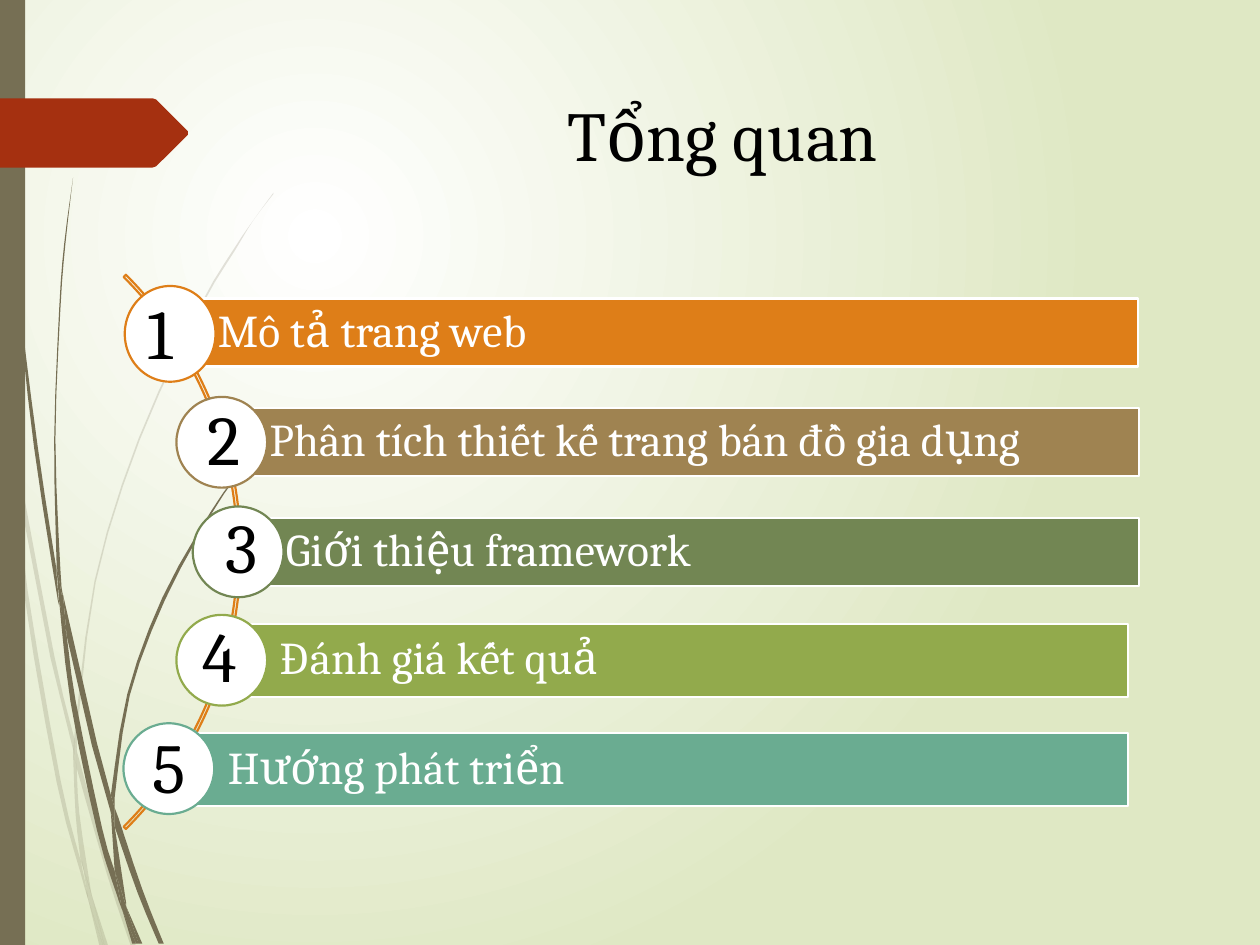
import dataclasses

import lxml.etree
import pptx
import pptx.dml.color
import pptx.enum.shapes
import pptx.enum.text
import pptx.oxml
import pptx.oxml.ns
import pptx.util

Inches = pptx.util.Inches
Pt = pptx.util.Pt
Shape = pptx.enum.shapes.MSO_SHAPE
FONT = "Cambria"
OLIVE = "766F54"
STEPS = 3

# Each blade is outlined by two or more edges of x y anchors, parted by a slash
PALE_BLADES = [
    ".08 3.5 .06 3.22 0 2.82 / 0 2.99 .07 3.44 .08 3.5",
    ".4 5.22 .59 5.99 / .59 5.86 .43 5.2 .1 3.45 / .12 3.76 .4 5.22",
    ".64 6.07 .61 5.96 / .61 6.1 .85 6.94 1.04 7.51 / 1.08 7.51 .88 6.92 .64 6.07",
    ".83 7.51 / .86 7.51 .73 7.11 / .83 7.51",
    ".64 6.83 .48 6.19 .22 4.69 .12 3.76 .08 3.5 / .08 3.5 .19 4.7 .45 6.21 .64 6.93 .7 7.14 / .69 7.07 .64 6.83",
    ".58 5.99 .6 6.46 .64 6.83 / .67 6.92 .73 7.11 / .72 7.06 .63 6.46 .61 6.1 / .61 6.08 .58 5.99",
    ".61 5.84 .76 4.62 1.11 3.49 1.59 2.45 1.87 1.98 2.01 1.75 2.17 1.54 / "
    "2.17 1.53 2.01 1.75 1.86 1.97 1.58 2.44 1.1 3.48 .75 4.61 .59 5.84 / .59 5.86 .61 5.96",
    ".7 7.14 .79 7.51 / .82 7.51 .7 7.14",
    ".61 6.08 .61 6.1 / .61 5.96 .59 5.86 / .58 5.99 .61 6.08",
    ".67 6.92 .65 6.83 / .69 7.07 .7 7.14 .82 7.51 / .83 7.51 .73 7.11 .67 6.92",
]
DARK_BLADES = [
    ".05 1.1 .14 2.33 .27 3.55 .46 4.77 / .47 4.81 .45 4.57 / "
    ".45 4.53 .3 3.55 .15 2.32 .06 1.09 .04 .48 .03 0 / .02 0 .03 .48 .05 1.1",
    ".73 5.92 .88 6.45 / .88 6.33 .88 6.31 / .77 5.9 .5 4.72 / .53 5.05 .73 5.92",
    ".94 6.49 .91 6.41 / .91 6.56 1.09 7.08 1.26 7.49 / 1.3 7.49 1.13 7.06 .94 6.49",
    ".91 6.91 .81 6.57 .6 5.56 .53 5.05 .47 4.77 / .47 4.77 .56 5.57 .77 6.59 .92 7.08 .97 7.22 / .96 7.17 .91 6.91",
    ".5 4.72 .48 4.53 .44 3.49 .48 2.45 .52 1.93 .58 1.41 / .58 1.41 .51 1.93 .47 2.45 .43 3.49 .45 4.49 / .49 4.72",
    "1.1 7.49 / 1.13 7.49 1 7.19 / 1.1 7.49",
    ".47 4.77 .53 5.05 / .5 4.72 / .49 4.72 .45 4.49 / .45 4.53 .47 4.77",
    ".91 6.33 1.03 5.52 1.31 4.76 1.69 4.06 1.91 3.74 2.03 3.59 2.16 3.44 / "
    "2.15 3.44 2.03 3.58 1.91 3.73 1.68 4.05 1.29 4.74 1.01 5.51 .88 6.31 / .91 6.41",
    ".97 7.22 1.05 7.49 / 1.08 7.49 .97 7.22",
    ".88 6.45 .91 6.91 / .96 7.06 1 7.19 / 1 7.16 .91 6.56 / .9 6.51 .88 6.45",
    ".88 6.45 .9 6.51 .91 6.56 / .91 6.41 .88 6.31 / .88 6.33 .88 6.45",
    ".96 7.06 .91 6.91 / .96 7.17 .97 7.22 1.08 7.49 / 1.1 7.49 1 7.19 .96 7.06",
]
TAG = [(0, 0.78), (1.21, 0.78), (1.24, 0.79), (1.49, 1.04), (1.49, 1.07),
       (1.24, 1.32), (1.21, 1.33), (0, 1.33)]


@dataclasses.dataclass(frozen=True)
class Box:
    left: float
    top: float
    width: float
    height: float

    def lengths(self) -> list:
        return [Inches(value) for value in dataclasses.astuple(self)]


@dataclasses.dataclass(frozen=True)
class Topic:
    wording: str
    color: str
    bar: Box
    circle: Box
    number: Box


TOPICS = [
    Topic("Mô tả trang web", "DE7E18", Box(1.27, 2.37, 7.76, 0.54),
          Box(0.99, 2.27, 0.72, 0.76), Box(1.07, 2.25, 0.42, 0.77)),
    Topic("Phân tích thiết kế trang bán đồ gia dụng", "9F8351", Box(1.68, 3.24, 7.36, 0.54),
          Box(1.4, 3.15, 0.72, 0.72), Box(1.55, 3.09, 0.33, 0.77)),
    Topic("Giới thiệu framework", "728653", Box(1.81, 4.11, 7.23, 0.54),
          Box(1.53, 4.02, 0.72, 0.72), Box(1.69, 3.95, 0.33, 0.77)),
    Topic("Đánh giá kết quả", "92AA4C", Box(1.76, 4.95, 7.19, 0.58),
          Box(1.4, 4.88, 0.72, 0.72), Box(1.51, 4.81, 0.41, 0.8)),
    Topic("Hướng phát triển", "6AAC91", Box(1.35, 5.82, 7.6, 0.58),
          Box(0.98, 5.74, 0.72, 0.72), Box(1.11, 5.69, 0.42, 0.77)),
]


def rgb(color: str) -> pptx.dml.color.RGBColor:
    return pptx.dml.color.RGBColor.from_string(color)


def paint(shape, fill: str = "", line: str = "", opacity: int = 100) -> None:
    shape.shadow.inherit = False
    if fill:
        shape.fill.solid()
        shape.fill.fore_color.rgb = rgb(fill)
        if opacity < 100:
            tint = shape.element.spPr.find(".//" + pptx.oxml.ns.qn("a:srgbClr"))
            lxml.etree.SubElement(tint, pptx.oxml.ns.qn("a:alpha"), val=str(opacity * 1000))
    else:
        shape.fill.background()
    if line:
        shape.line.color.rgb = rgb(line)
        shape.line.width = Pt(1.25)
    else:
        shape.line.fill.background()


def smooth_edge(anchors: list) -> list:
    """Run a Catmull-Rom curve through the anchors; two anchors give a line."""
    if len(anchors) < 3:
        return anchors
    padded = [anchors[0], *anchors, anchors[-1]]
    points = [anchors[0]]
    for a, b, c, d in zip(padded, padded[1:], padded[2:], padded[3:]):
        for step in range(1, STEPS + 1):
            t = step / STEPS
            points.append(tuple(
                q + t / 2 * (r - p + t * (2 * p - 5 * q + 4 * r - s + t * (3 * (q - r) + s - p)))
                for p, q, r, s in zip(a, b, c, d)))
    return points


def blade_points(outline: str) -> list:
    points = []
    for edge in outline.split("/"):
        values = [float(value) for value in edge.split()]
        points += smooth_edge(list(zip(values[::2], values[1::2])))
    return points


def add_outline(page, points: list, fill: str, opacity: int = 100) -> None:
    corners = [(Inches(x), Inches(y)) for x, y in points]
    builder = page.shapes.build_freeform(*corners[0])
    builder.add_line_segments(corners[1:], close=True)
    paint(builder.convert_to_shape(), fill, opacity=opacity)


def add_shape(page, kind, box: Box, fill: str = "", line: str = ""):
    shape = page.shapes.add_shape(kind, *box.lengths())
    paint(shape, fill, line)
    return shape


def write(shape, wording: str, size: int, color: str, align: str = "LEFT"):
    shape.text_frame.word_wrap = True
    para = shape.text_frame.paragraphs[0]
    para.alignment = pptx.enum.text.PP_ALIGN[align]
    span = para.add_run()
    span.text = wording
    span.font.name = FONT
    span.font.size = Pt(size)
    span.font.color.rgb = rgb(color)
    return para


def set_background(page) -> None:
    fill = page.background.fill
    fill.gradient()
    for stop, color in zip(fill.gradient_stops, ("FFFFFF", "DFE8C4")):
        stop.color.rgb = rgb(color)
    linear = page.element.find(".//" + pptx.oxml.ns.qn("a:lin"))
    radial = pptx.oxml.parse_xml(
        f'<a:path {pptx.oxml.ns.nsdecls("a")} path="circle">'
        '<a:fillToRect l="50000" t="50000" r="100000" b="100000"/></a:path>')
    linear.getparent().replace(linear, radial)


def add_topic(page, topic: Topic) -> None:
    bar = add_shape(page, Shape.RECTANGLE, topic.bar, topic.color, "FFFFFF")
    frame = bar.text_frame
    frame.margin_left = Inches(0.46)
    frame.margin_top = frame.margin_right = frame.margin_bottom = Inches(0.07)
    frame.vertical_anchor = pptx.enum.text.MSO_ANCHOR.MIDDLE
    write(bar, topic.wording, 26, "FFFFFF").line_spacing = 0.9
    add_shape(page, Shape.OVAL, topic.circle, "FFFFFF", topic.color)


def main() -> None:
    deck = pptx.Presentation()
    deck.slide_width, deck.slide_height = Inches(10), Inches(7.5)
    page = deck.slides.add_slide(deck.slide_layouts[6])
    set_background(page)

    # Grass blades, side strip and red tag
    for blades, opacity in ((PALE_BLADES, 20), (DARK_BLADES, 100)):
        for outline in blades:
            add_outline(page, blade_points(outline), OLIVE, opacity)
    add_shape(page, Shape.RECTANGLE, Box(0, 0, 0.2, 7.5), OLIVE)
    add_outline(page, TAG, "A53010")

    # Title
    title = page.shapes.add_textbox(*Box(2.13, 0.68, 7.21, 1.4).lengths())
    write(title, "Tổng quan", 40, "000000", "CENTER")

    # Arc with the numbered topics
    arc = add_shape(page, Shape.BLOCK_ARC, Box(-4.31, 1.27, 6.22, 6.22), line="DE7E18")
    for index, value in enumerate((189, 27, 0.004)):
        arc.adjustments[index] = value
    for topic in TOPICS:
        add_topic(page, topic)
    for number, topic in enumerate(TOPICS, 1):
        label = page.shapes.add_textbox(*topic.number.lengths())
        write(label, str(number), 40, "000000")

    deck.save("out.pptx")


if __name__ == "__main__":
    main()
